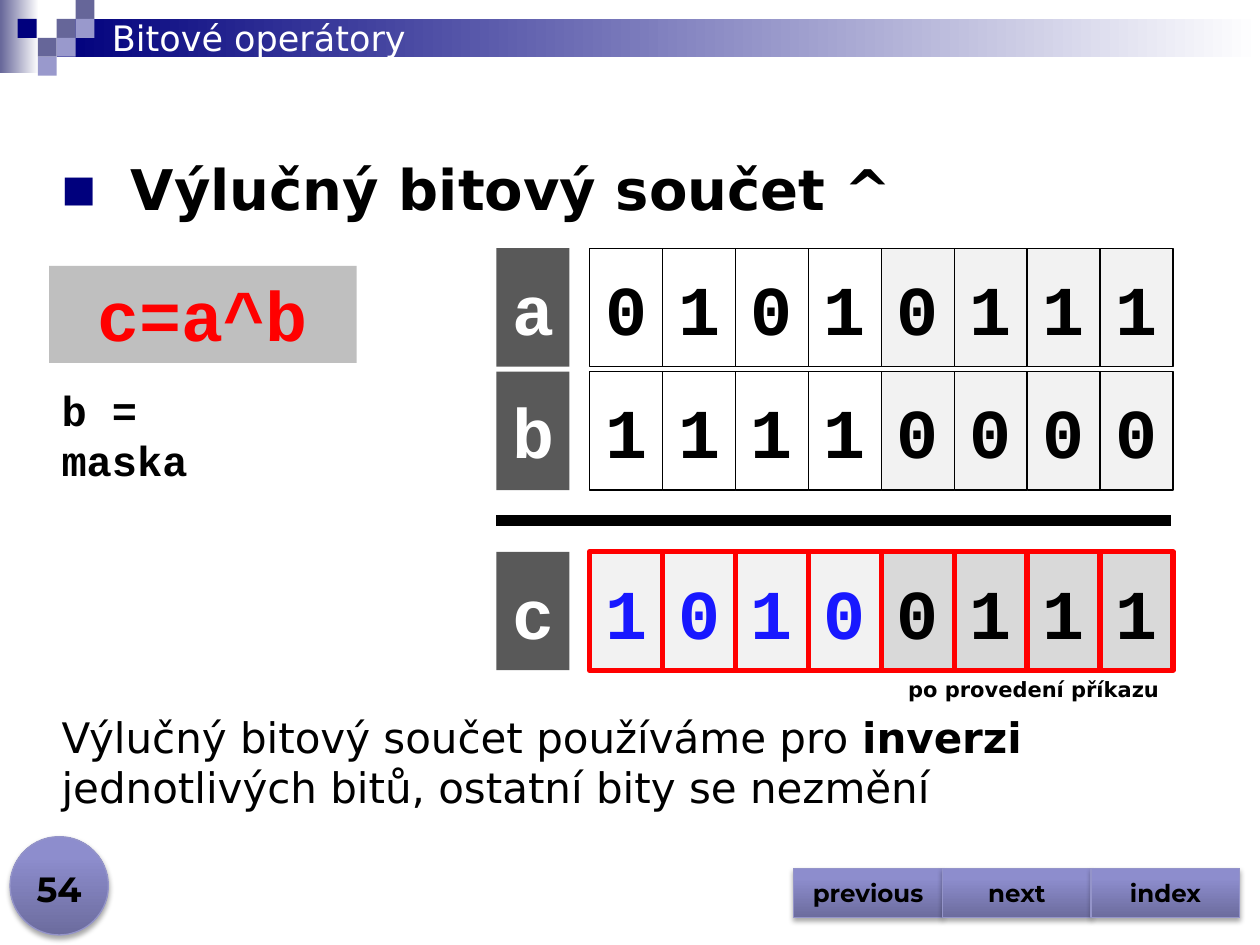
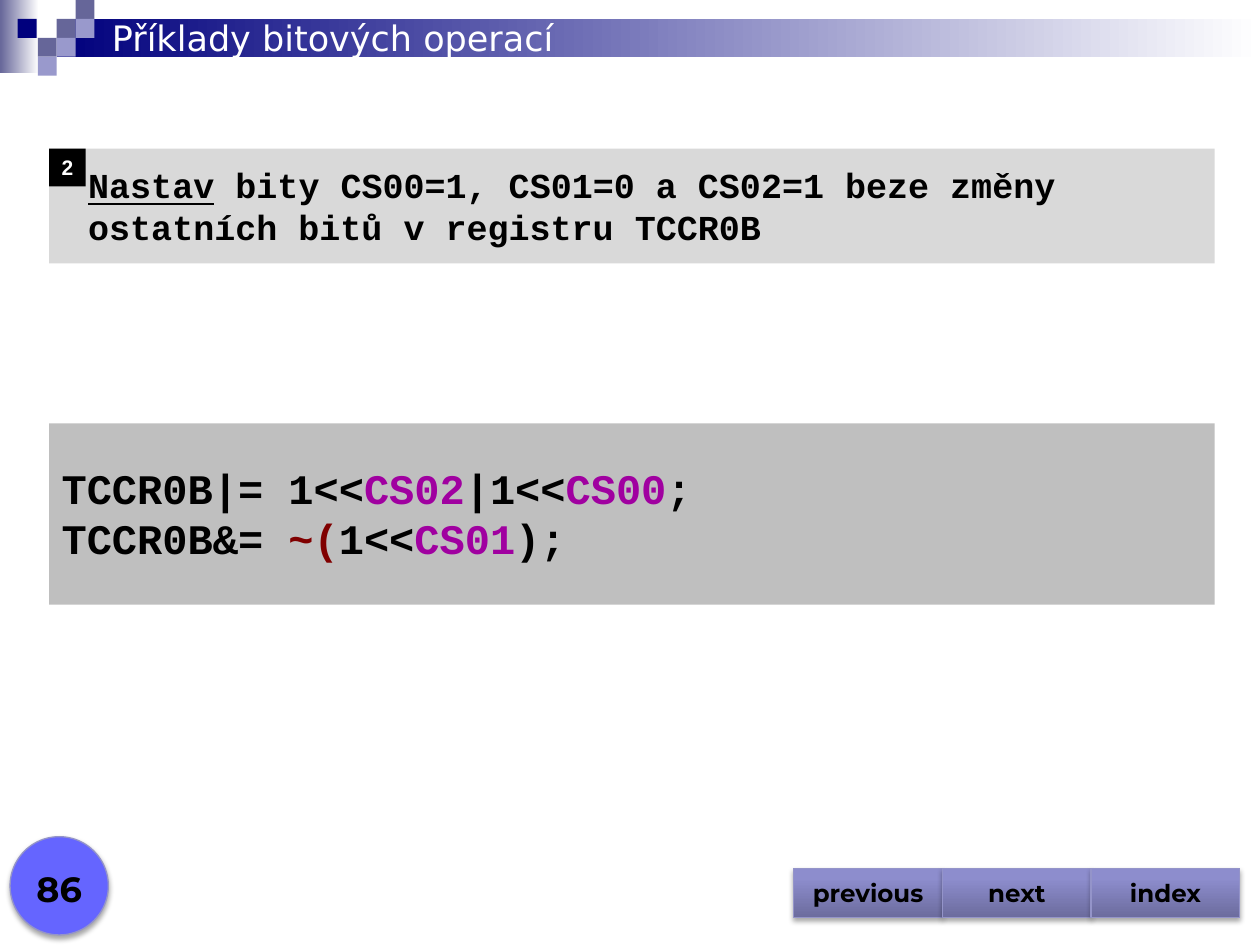
"""Build two slides on bitwise operators with a shared band, page badge and buttons."""
from lxml import etree
from pptx import Presentation
from pptx.dml.color import RGBColor
from pptx.enum.shapes import MSO_CONNECTOR, MSO_SHAPE
from pptx.enum.text import MSO_ANCHOR, PP_ALIGN
from pptx.oxml.ns import qn
from pptx.util import Inches, Pt

RECT, OVAL, BUTTON = MSO_SHAPE.RECTANGLE, MSO_SHAPE.OVAL, MSO_SHAPE.ACTION_BUTTON_CUSTOM
STRAIGHT = MSO_CONNECTOR.STRAIGHT
TOP, MID, LOW = MSO_ANCHOR.TOP, MSO_ANCHOR.MIDDLE, MSO_ANCHOR.BOTTOM
LEFT, MIDDLE, RIGHT = PP_ALIGN.LEFT, PP_ALIGN.CENTER, PP_ALIGN.RIGHT

COLORS = {
    "black": "000000", "white": "FFFFFF", "navy": "00007D", "slate": "666699",
    "lilac": "9999CC", "silver": "BFBFBF", "pale": "D9D9D9", "mist": "F2F2F2",
    "coal": "595959", "red": "FF0000", "blue": "1818FF", "violet": "6565FF",
    "edge": "9494C9", "dusk": "6C6C9E", "haze": "8D8DCD", "glow": "8C8CCF",
    "purple": "A000A0", "maroon": "800000",
}
SANS, MONO, ARIAL, MONT = "DejaVu Sans", "Courier New", "Arial", "Montserrat"
SHEEN = [(0, "dusk"), (80, "haze"), (100, "glow")]


def rgb(name):
    return RGBColor.from_string(COLORS[name])


def add(parent, tag, **attrs):
    return etree.SubElement(parent, qn(tag), {key: str(val) for key, val in attrs.items()})


def write(shape, text, size=24, font=SANS, color="black", bold=False, align=LEFT,
          anchor=TOP, wrap=True, pads=(0.1, 0.05, 0.1, 0.05), bullet=None):
    """Fill a shape with text: a string, or lines made of (text, changes) runs."""
    frame = shape.text_frame
    frame.word_wrap, frame.vertical_anchor = wrap, anchor
    frame.margin_left, frame.margin_top, frame.margin_right, frame.margin_bottom = map(Inches, pads)
    lines = [[(text, {})]] if isinstance(text, str) else text
    for i, runs in enumerate(lines):
        para = frame.add_paragraph() if i else frame.paragraphs[0]
        para.alignment = align
        if bullet:
            props = para._p.get_or_add_pPr()
            props.set("marL", str(Inches(0.55)))
            props.set("indent", str(-Inches(0.55)))
            add(add(props, "a:buClr"), "a:srgbClr", val=COLORS["navy"])
            add(props, "a:buSzPct", val=65000)
            add(props, "a:buFont", typeface=SANS)
            add(props, "a:buChar", char=bullet)
        for words, look in runs:
            run = para.add_run()
            run.text = words
            run.font.name, run.font.size = font, Pt(size)
            run.font.bold = look.get("bold", bold)
            run.font.underline = look.get("under", False)
            run.font.color.rgb = rgb(look.get("color", color))


class Deck:
    """Hold the style and the current slide."""

    def __init__(self):
        self.prs = Presentation()
        self.prs.slide_width, self.prs.slide_height = Inches(10), Inches(7.5)
        self.slide = None

    def start(self, title):
        self.slide = self.prs.slides.add_slide(self.prs.slide_layouts[6])
        self.box(0, 0, 0.31, 0.58, [(0, "slate"), (100, "white")])
        self.box(0.45, 0.15, 9.55, 0.3, [(0, "navy"), (100, "white")])
        tiles = [(0.45, 0.15, "slate"), (0.6, 0, "slate"), (0.6, 0.15, "lilac"),
                 (0.3, 0.3, "slate"), (0.14, 0.15, "navy"), (0.45, 0.3, "lilac"),
                 (0.3, 0.45, "lilac")]
        for x, y, color in tiles:
            self.box(x, y, 0.15, 0.15, color)
        self.label(0.79, 0.08, 8.5, 0.44, title, size=20, color="white", anchor=MID)

    def box(self, x, y, w, h, fill, kind=RECT, line=None, angle=0, shade=False):
        shape = self.slide.shapes.add_shape(kind, Inches(x), Inches(y), Inches(w), Inches(h))
        shape.shadow.inherit = False
        props = shape._element.spPr
        if isinstance(fill, str):
            shape.fill.solid()
            shape.fill.fore_color.rgb = rgb(fill)
        else:
            shape.fill.gradient()
            shape.fill.gradient_angle = angle
            stops = props.find(qn("a:gradFill")).find(qn("a:gsLst"))
            for stop in list(stops):
                stops.remove(stop)
            for pos, color in fill:
                add(add(stops, "a:gs", pos=pos * 1000), "a:srgbClr", val=COLORS[color])
        if line:
            shape.line.color.rgb, shape.line.width = rgb(line[0]), Pt(line[1])
        else:
            shape.line.fill.background()
        if shade:
            cast = add(props.find(qn("a:effectLst")), "a:outerShdw", blurRad=Pt(3.1),
                       dist=Pt(1.8), dir=5400000, rotWithShape=0)
            add(add(cast, "a:srgbClr", val=COLORS["black"]), "a:alpha", val=35000)
        return shape

    def label(self, x, y, w, h, text, **look):
        shape = self.slide.shapes.add_textbox(Inches(x), Inches(y), Inches(w), Inches(h))
        write(shape, text, **look)

    def rule(self, x, y, end, width):
        line = self.slide.shapes.add_connector(
            STRAIGHT, Inches(x), Inches(y), Inches(end), Inches(y))
        line.line.color.rgb, line.line.width = rgb("black"), Pt(width)
        add(line._element.spPr, "a:effectLst")

    def bits(self, y, name, digits, fills=("white", "mist"), line=("black", 0.75), ink="black"):
        look = dict(size=40, font=MONO, bold=True, align=MIDDLE, anchor=MID, wrap=False)
        pitch = 4.63 / 8
        for i, digit in enumerate(digits):
            cell = self.box(4.68 + i * pitch, y, pitch, 0.94, fills[i // 4], line=line)
            write(cell, digit, color="black" if i > 3 else ink, **look)
        write(self.box(3.94, y, 0.58, 0.94, "coal"), name, color="white", **look)

    def foot(self, page, fill=SHEEN):
        style = dict(line=("edge", 0.75), angle=90, shade=True)
        self.box(0.08, 6.64, 0.78, 0.78, fill, OVAL, **style)
        look = dict(font=MONT, bold=True, align=MIDDLE)
        self.label(0, 6.77, 0.94, 0.5, page, size=20, anchor=LOW, **look)
        for i, name in enumerate(["previous", "next", "index"]):
            button = self.box(6.3 + i * 1.18, 6.89, 1.18, 0.39, SHEEN, BUTTON, **style)
            write(button, name, size=14, anchor=MID, **look)


def xor(deck):
    deck.start("Bitové operátory")
    deck.label(0.39, 1.18, 9.61, 0.64, "Výlučný bitový součet ^", size=32, bold=True, bullet="■")
    write(deck.box(0.39, 2.11, 2.44, 0.77, "silver"), "c=a^b", size=40, font=MONO,
          color="red", bold=True, align=MIDDLE)
    deck.bits(1.97, "a", "01010111")
    deck.bits(2.95, "b", "11110000")
    deck.bits(4.38, "c", "10100111", ("mist", "pale"), ("red", 3), "blue")
    deck.rule(3.94, 4.13, 9.29, 6)
    deck.label(0.39, 3.2, 1.87, 0.5, "b = maska", font=MONO, bold=True, anchor=MID)
    deck.label(7.1, 5.32, 2.2, 0.3, "po provedení příkazu", size=12, bold=True,
               align=RIGHT, anchor=MID, wrap=False)
    deck.label(0.39, 5.59, 9.62, 0.91, [[
        ("Výlučný bitový součet používáme pro ", {}), ("inverzi ", {"bold": True}),
        ("jednotlivých bitů, ostatní bity se nezmění", {})]], anchor=MID)
    deck.foot("54")


def setting(deck):
    deck.start("Příklady bitových operací")
    task = [[("Nastav", {"under": True}),
             (" bity CS00=1, CS01=0 a CS02=1 beze změny ostatních bitů v registru TCCR0B", {})]]
    write(deck.box(0.39, 1.18, 9.25, 0.91, "pale"), task, size=20, font=MONO, bold=True,
          pads=(0.31, 0.12, 0.1, 0.12))
    write(deck.box(0.39, 1.18, 0.29, 0.3, "black"), "2", size=12, font=ARIAL,
          color="white", bold=True, align=MIDDLE, anchor=MID, wrap=False)
    name, mark = {"color": "purple"}, {"color": "maroon"}
    code = [[("TCCR0B|= 1<<", {}), ("CS02", name), ("|1<<", {}), ("CS00", name), (";", {})],
            [("TCCR0B&= ", {}), ("~(", mark), ("1<<", {}), ("CS01", name), (");", {})]]
    write(deck.box(0.39, 3.36, 9.25, 1.44, "silver"), code, font=MONO, bold=True,
          pads=(0.1, 0.31, 0.1, 0.31))
    deck.foot("86", "violet")


def main():
    deck = Deck()
    xor(deck)
    setting(deck)
    deck.prs.save("out.pptx")


if __name__ == "__main__":
    main()
